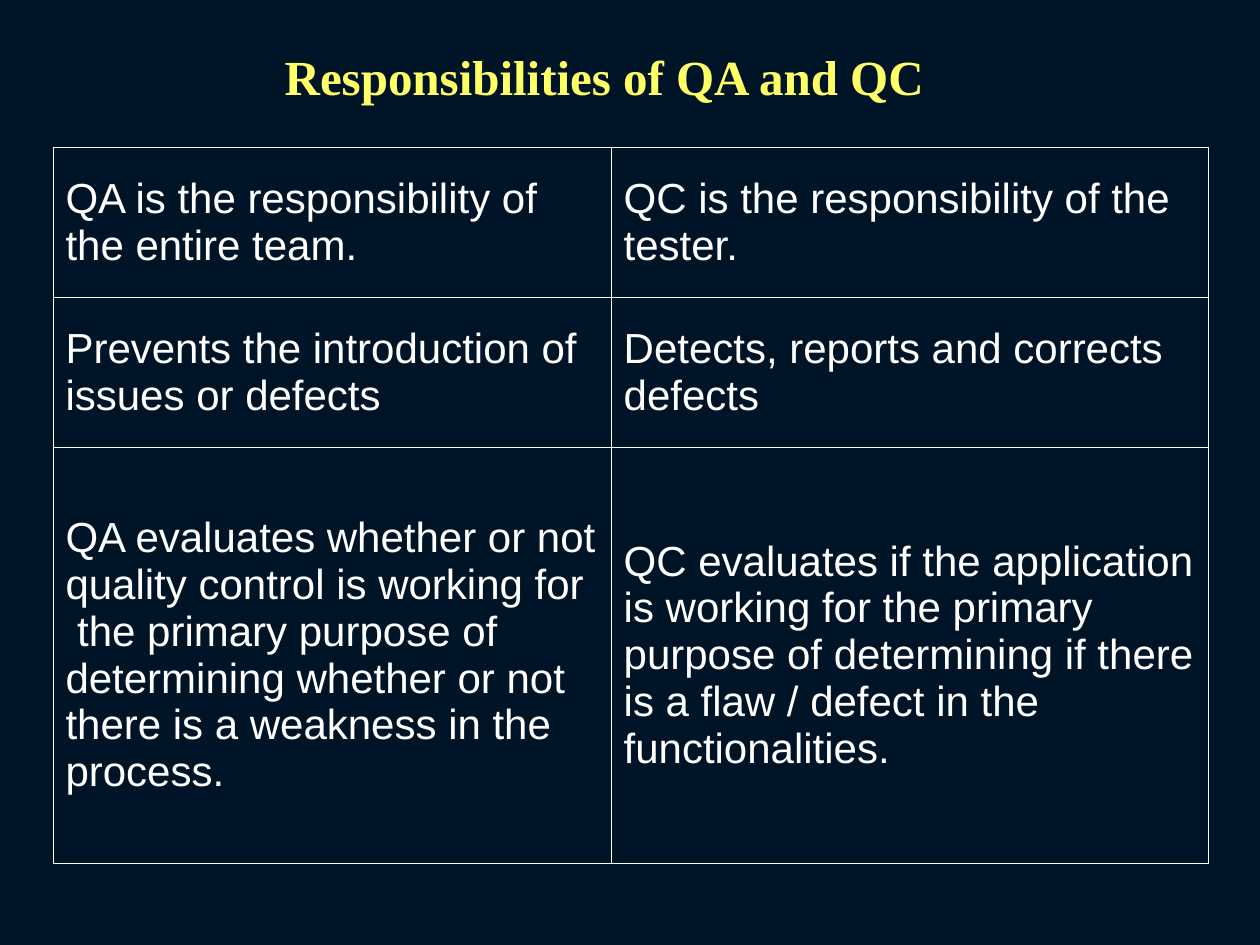
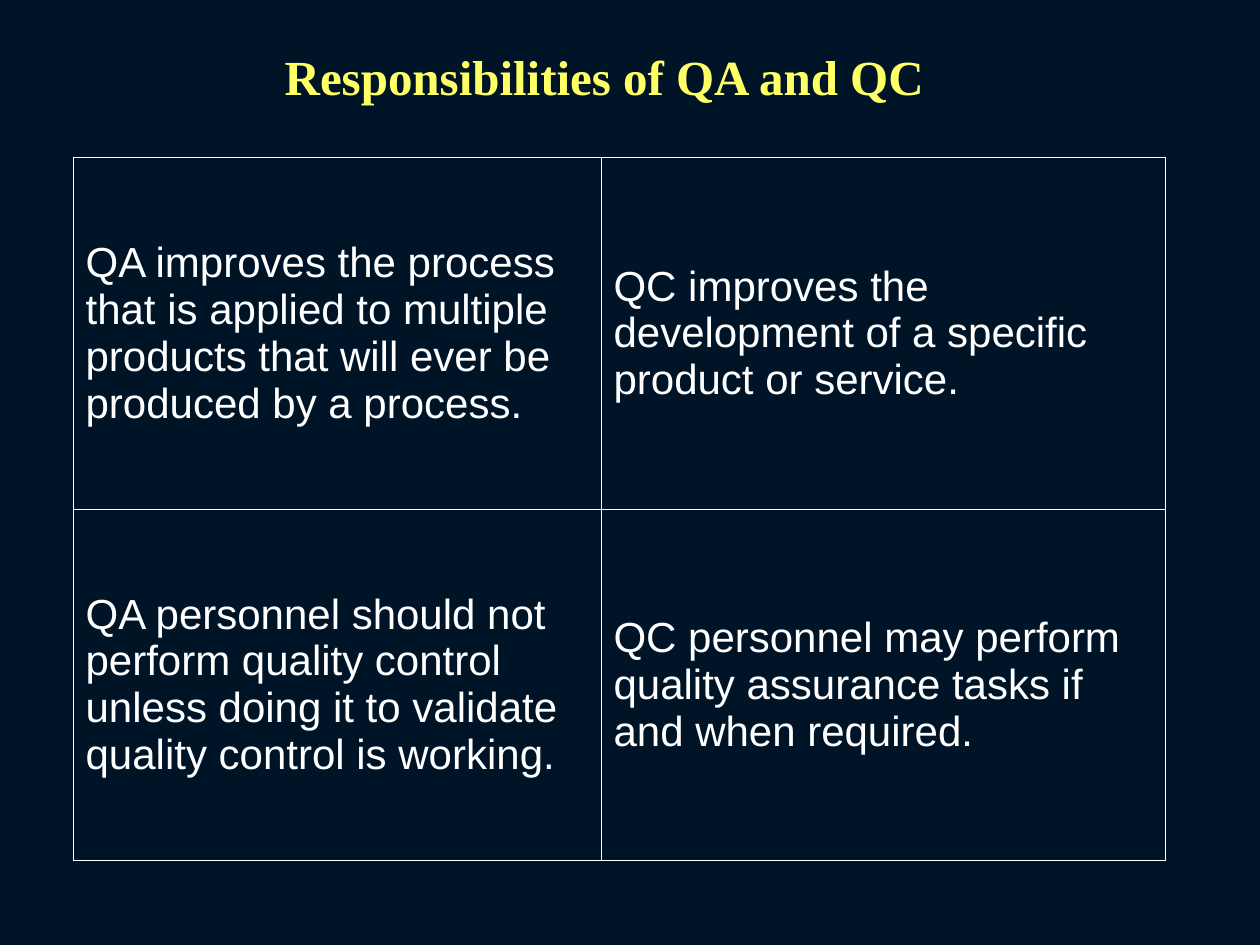
from dataclasses import dataclass

from lxml import etree
from pptx import Presentation, util as u
from pptx.dml import color
from pptx.enum import text
from pptx.oxml import ns


@dataclass(frozen=True)
class Theme:
    background: str = "001428"
    title_color: str = "FFFF66"
    body_color: str = "FFFFFF"
    title_font: str = "Times New Roman"
    body_font: str = "Arial"
    title_size: int = 28
    body_size: int = 24
    border_width: float = 0.45


@dataclass(frozen=True)
class Comparison:
    """QA beside QC: position, column widths and row heights in inches."""
    left: float
    top: float
    widths: tuple[float, ...]
    heights: tuple[float, ...]
    rows: tuple[tuple[str, str], ...]


THEME = Theme()
TITLE = "Responsibilities of QA and QC"
TITLE_BOX = {"left": 2.15, "top": 0.32, "width": 5.29, "height": 0.57}
TITLE_FRAME = {
    "word_wrap": False,
    "auto_size": text.MSO_AUTO_SIZE.NONE,
    "vertical_anchor": text.MSO_ANCHOR.TOP,
}
TITLE_FORMAT = {"name": THEME.title_font, "size": u.Pt(THEME.title_size), "bold": True}
BODY_FORMAT = {"name": THEME.body_font, "size": u.Pt(THEME.body_size), "bold": False}

COMPARISONS = (
    Comparison(0.42, 1.17, (4.43, 4.74), (1.19, 1.19, 3.3), (
        ("QA is the responsibility of the entire team.",
         "QC is the responsibility of the tester."),
        ("Prevents the introduction of issues or defects",
         "Detects, reports and corrects defects"),
        ("QA evaluates whether or not quality control is working for\n"
         " the primary purpose of determining whether or not there is a "
         "weakness in the process.",
         "QC evaluates if the application is working for the primary purpose "
         "of determining if there is a flaw / defect in the functionalities."),
    )),
    Comparison(0.58, 1.25, (4.19, 4.48), (2.79, 2.79), (
        ("QA improves the process that is applied to multiple products that "
         "will ever be produced by a process.",
         "QC improves the development of a specific product or service."),
        ("QA personnel should not perform quality control unless doing it to "
         "validate quality control is working.",
         "QC personnel may perform quality assurance tasks if and when required."),
    )),
)


def set_attributes(target, values: dict) -> None:
    for name, value in values.items():
        setattr(target, name, value)


def format_text(frame, values: dict, rgb: str) -> None:
    for paragraph in frame.paragraphs:
        for run in paragraph.runs:
            set_attributes(run.font, values)
            run.font.color.rgb = color.RGBColor.from_string(rgb)


def add_borders(cell) -> None:
    properties = cell._tc.get_or_add_tcPr()
    for side in ("a:lnL", "a:lnR", "a:lnT", "a:lnB"):
        line = etree.SubElement(properties, ns.qn(side), w=str(u.Pt(THEME.border_width)))
        fill = etree.SubElement(line, ns.qn("a:solidFill"))
        etree.SubElement(fill, ns.qn("a:srgbClr"), val=THEME.body_color)


def add_title(slide) -> None:
    title = slide.shapes.title
    set_attributes(title, {name: u.Inches(value) for name, value in TITLE_BOX.items()})
    frame = title.text_frame
    frame.text = TITLE
    set_attributes(frame, TITLE_FRAME)
    frame.paragraphs[0].alignment = text.PP_ALIGN.CENTER
    format_text(frame, TITLE_FORMAT, THEME.title_color)


def add_comparison(slide, comparison: Comparison) -> None:
    table = slide.shapes.add_table(
        len(comparison.rows), len(comparison.widths),
        u.Inches(comparison.left), u.Inches(comparison.top),
        u.Inches(sum(comparison.widths)), u.Inches(sum(comparison.heights)),
    ).table
    set_attributes(table, {"first_row": False, "horz_banding": False})
    for column, width in zip(table.columns, comparison.widths):
        column.width = u.Inches(width)
    for row, height, wording in zip(table.rows, comparison.heights, comparison.rows):
        row.height = u.Inches(height)
        for cell, statement in zip(row.cells, wording):
            cell.text = statement
            cell.vertical_anchor = text.MSO_ANCHOR.MIDDLE
            add_borders(cell)
            cell.fill.background()
            format_text(cell.text_frame, BODY_FORMAT, THEME.body_color)


def main() -> None:
    presentation = Presentation()
    presentation.slide_width, presentation.slide_height = u.Inches(10), u.Inches(7.5)
    background = presentation.slide_master.background.fill
    background.solid()
    background.fore_color.rgb = color.RGBColor.from_string(THEME.background)
    title_only = presentation.slide_layouts.get_by_name("Title Only")
    for comparison in COMPARISONS:
        slide = presentation.slides.add_slide(title_only)
        add_title(slide)
        add_comparison(slide, comparison)
    presentation.save("out.pptx")


if __name__ == "__main__":
    main()
